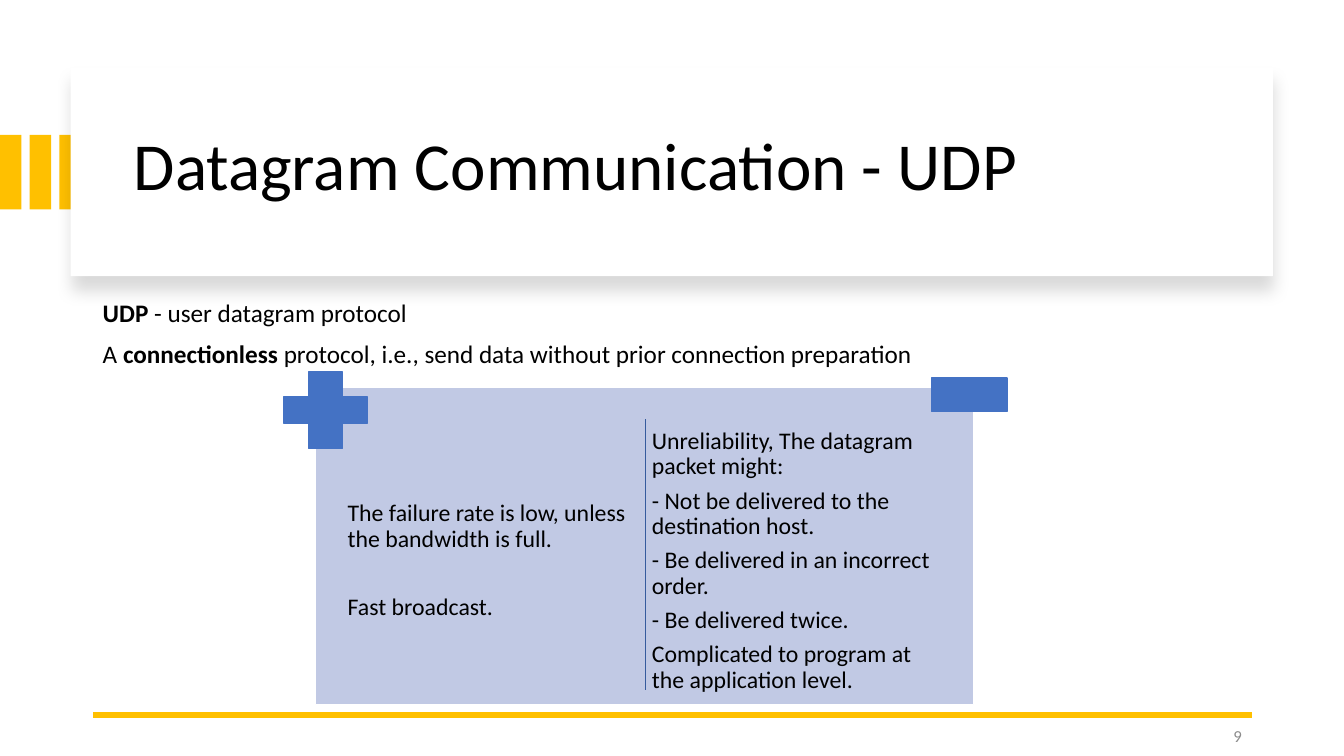
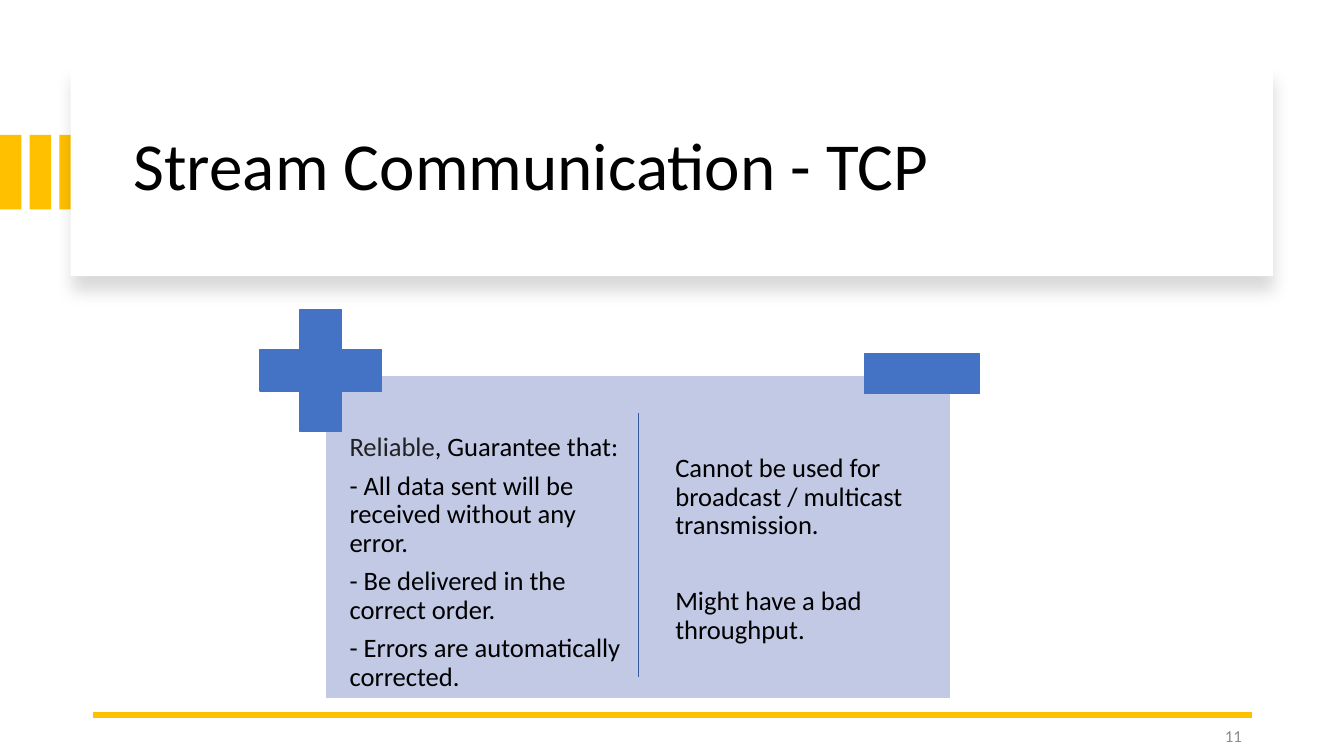
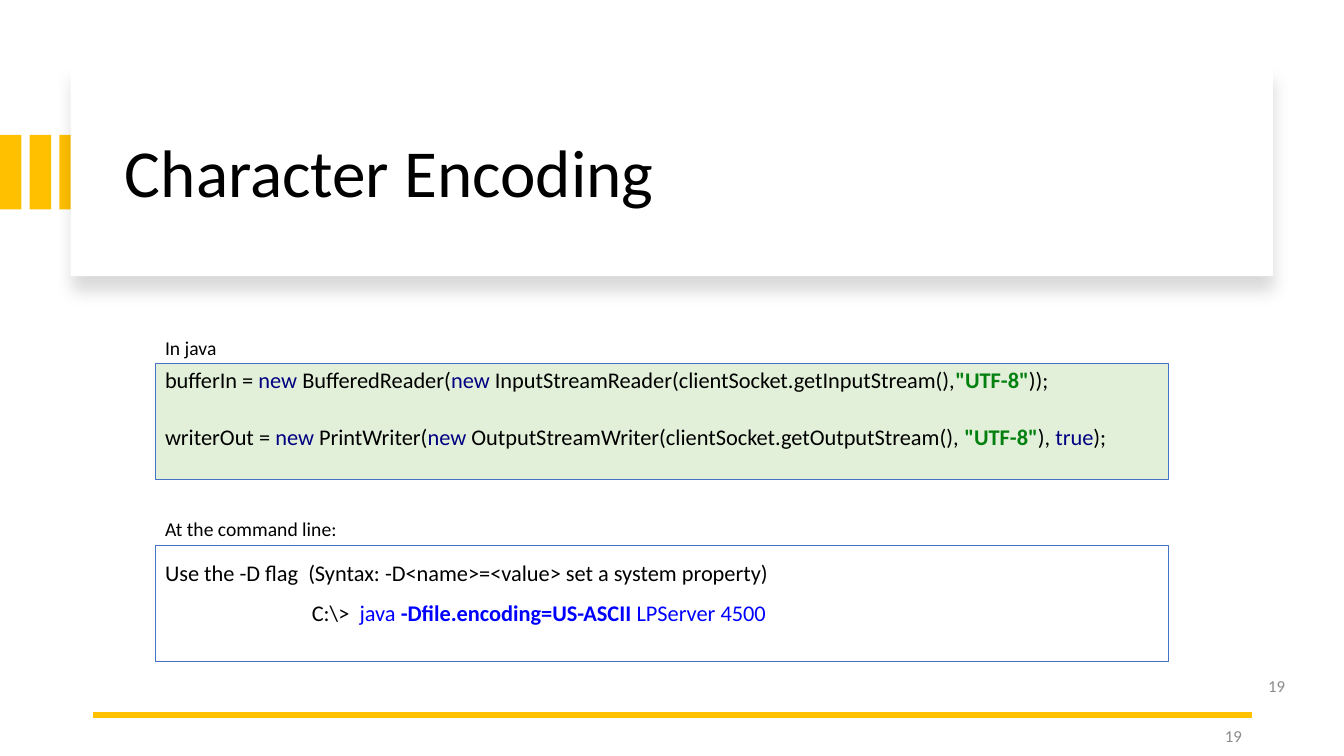
from lxml import etree
from pptx import Presentation
from pptx.dml.color import RGBColor
from pptx.enum.shapes import MSO_CONNECTOR, MSO_SHAPE
from pptx.enum.text import MSO_ANCHOR, PP_ALIGN
from pptx.oxml.ns import qn
from pptx.util import Cm, Pt

RECT, CROSS = MSO_SHAPE.RECTANGLE, MSO_SHAPE.CROSS
LINE = MSO_CONNECTOR.STRAIGHT
TOP, MIDDLE = MSO_ANCHOR.TOP, MSO_ANCHOR.MIDDLE
LEFT, RIGHT = PP_ALIGN.LEFT, PP_ALIGN.RIGHT

FONT = "Calibri"
HEX = {
    "white": "FFFFFF", "black": "000000", "gold": "FFC000", "grey": "8C8C8C",
    "panel": "C1C9E4", "blue": "4472C4", "rule": "365B9D", "mint": "E2F0D9",
    "dark": "212121", "navy": "000080", "green": "03800F", "link": "0000FF",
}
RGB = {name: RGBColor.from_string(code) for name, code in HEX.items()}


def draw(slide, kind, place, fill=None, edge=None, width=1):
    """Add a shape (a preset, LINE, or None for a text box) at a place in cm."""
    place = [Cm(n) for n in place]
    if kind is None:
        return slide.shapes.add_textbox(*place)
    if kind is LINE:
        line = slide.shapes.add_connector(LINE, *place)
        line.line.color.rgb = RGB[edge]
        line.line.width = Pt(width)
        etree.SubElement(line._element.spPr, qn("a:effectLst"))
        return line
    shape = slide.shapes.add_shape(kind, *place)
    shape.shadow.inherit = False
    if fill:
        shape.fill.solid()
        shape.fill.fore_color.rgb = RGB[fill]
    else:
        shape.fill.background()
    if edge:
        shape.line.color.rgb = RGB[edge]
        shape.line.width = Pt(width)
    else:
        shape.line.fill.background()
    return shape


def write(shape, paras, size, color="black", pitch=1.0, before=0, after=0,
          anchor=TOP, align=LEFT, inset=None):
    """Fill a shape with paragraphs: strings, or lists of (text, colour, bold)."""
    frame = shape.text_frame
    frame.word_wrap = True
    frame.vertical_anchor = anchor
    if inset:
        (frame.margin_left, frame.margin_top,
         frame.margin_right, frame.margin_bottom) = [Cm(n) for n in inset]
    for i, runs in enumerate(paras):
        para = frame.add_paragraph() if i else frame.paragraphs[0]
        para.alignment = align
        para.line_spacing = pitch
        para.space_before = Pt(before if i else 0)
        para.space_after = Pt(after)
        para.font.name = FONT
        para.font.size = Pt(size)
        para.font.color.rgb = RGB[color]
        if isinstance(runs, str):
            para.add_run().text = runs
            continue
        for text, tint, bold in runs:
            run = para.add_run()
            run.text = text
            run.font.color.rgb = RGB[tint]
            run.font.bold = bold


deck = Presentation()
deck.slide_width, deck.slide_height = Cm(33.87), Cm(19.05)

# Shared frame: bars, title card, base line, page number
heads = [
    ("Datagram Communication - UDP", "9", 3.12, 2.08),
    ("Stream Communication - TCP", "11", 3.12, 2.08),
    ("Character Encoding", "19", 2.9, 2.26),
]
slides = []
for title, page, left, top in heads:
    slide = deck.slides.add_slide(deck.slide_layouts[6])
    slides.append(slide)
    for i in range(3):
        draw(slide, RECT, (0.75 * i, 3.4, 0.54, 1.88), "gold")
    card = draw(slide, RECT, (1.78, 1.7, 30.3, 5.26), "white")
    glow = etree.SubElement(
        card._element.spPr.find(qn("a:effectLst")), qn("a:outerShdw"),
        blurRad=str(Pt(11)), dist=str(Pt(10)), dir="5400000", rotWithShape="0")
    shade = etree.SubElement(glow, qn("a:srgbClr"), val=HEX["black"])
    etree.SubElement(shade, qn("a:alpha"), val="15000")
    write(draw(slide, None, (left, top, 27.61, 4.32)), [title], 48,
          pitch=0.9, anchor=MIDDLE)
    draw(slide, LINE, (31.55, 18.01, 2.34, 18.01), edge="gold", width=4.5)
    write(draw(slide, None, (23.93, 18.03, 7.62, 1.02)), [page], 12, "grey",
          anchor=MIDDLE, align=RIGHT)
udp, tcp, code = slides

# Plus and minus panels; a loose column has an extra line between paragraphs
panels = [
    (udp, 17, (7.95, 9.75, 16.59, 8), (7.14, 9.37, 2.13, 1.93),
     (23.47, 9.53, 1.91, 0.84), (16.26, 10.57, 16.26, 17.4), [
         ((8.66, 10.57, 7.49, 7.14), True, [
             "The failure rate is low, unless the bandwidth is full.",
             "Fast broadcast."]),
         ((16.33, 10.57, 7.49, 7.14), False, [
             "Unreliability, The datagram packet might:",
             "- Not be delivered to the destination host.",
             "- Be delivered in an incorrect order.",
             "- Be delivered twice.",
             "Complicated to program at the application level."])]),
    (tcp, 19, (8.2, 9.45, 15.77, 8.15), (6.55, 7.8, 3.07, 3.07),
     (21.79, 8.92, 2.9, 0.99), (16.09, 10.41, 16.09, 17.07), [
         ((16.92, 10.36, 7.34, 6.99), True, [
             "Cannot be used for broadcast / multicast transmission.",
             "Might have a bad throughput."]),
         ((8.71, 10.69, 7.34, 6.99), False, [
             [("Reliable", "dark", False),
              (", Guarantee that:", "black", False)],
             "- All data sent will be received without any error.",
             "- Be delivered in the correct order.",
             "- Errors are automatically corrected."])]),
]
for slide, size, panel, plus, minus, split, columns in panels:
    draw(slide, RECT, panel, "panel", "white")
    for place, loose, paras in columns:
        write(draw(slide, None, place), paras, size, pitch=0.9,
              before=1.43 * size if loose else 0, after=0.35 * size,
              anchor=MIDDLE, inset=[0.1] * 4)
    draw(slide, CROSS, plus, "blue", "blue").adjustments[0] = 0.33
    draw(slide, RECT, minus, "blue", "blue")
    draw(slide, LINE, split, edge="rule")

write(draw(udp, None, (2.34, 7.45, 29.21, 2.2)), [
    [("UDP", "black", True), (" - user datagram protocol", "black", False)],
    [("A ", "black", False), ("connectionless ", "black", True),
     ("protocol, i.e., send data without prior connection preparation",
      "black", False)],
], 18, pitch=0.9, before=10)

# Code boxes
write(draw(code, None, (25.02, 16.76, 7.62, 1.02)), ["19"], 12, "grey",
      anchor=MIDDLE, align=RIGHT)
new = ("new ", "navy", False)
utf = ('"UTF-8"', "green", True)
java = [
    [("bufferIn = ", "black", False), new,
     ("BufferedReader(", "black", False), new,
     ("InputStreamReader(clientSocket.getInputStream(),", "black", False),
     utf, ("));", "black", False)],
    [("writerOut = ", "black", False), new,
     ("PrintWriter(", "black", False), new,
     ("OutputStreamWriter(clientSocket.getOutputStream(), ", "black", False),
     utf, ("), ", "black", False), ("true", "navy", False),
     (");", "black", False)],
]
shell = [
    [("Use the -D flag  (Syntax: -D<name>=<value> set a system property)",
      "black", False)],
    [("C:\\>  ", "black", False), ("java ", "link", False),
     ("-Dfile.encoding=US-ASCII ", "link", True),
     ("LPServer 4500", "link", False)],
]
blocks = [
    ("In java", 9.17, "mint", java, 1.07, 20.5),
    ("At the command line:", 13.74, None, shell, 1.5, 0),
]
for label, top, fill, paras, pitch, gap in blocks:
    box = draw(code, RECT, (3.91, top, 25.53, 2.92), fill, "blue", 0.75)
    write(box, paras, 16, pitch=pitch, before=gap, inset=(0.25, 0, 0, 0))
    write(draw(code, None, (3.91, top - 0.84, 6.81, 0.86)), [label], 14)
prompt = box.text_frame.paragraphs[1]
prompt._p.get_or_add_pPr().set("marL", str(Cm(3.7)))

deck.save("out.pptx")
